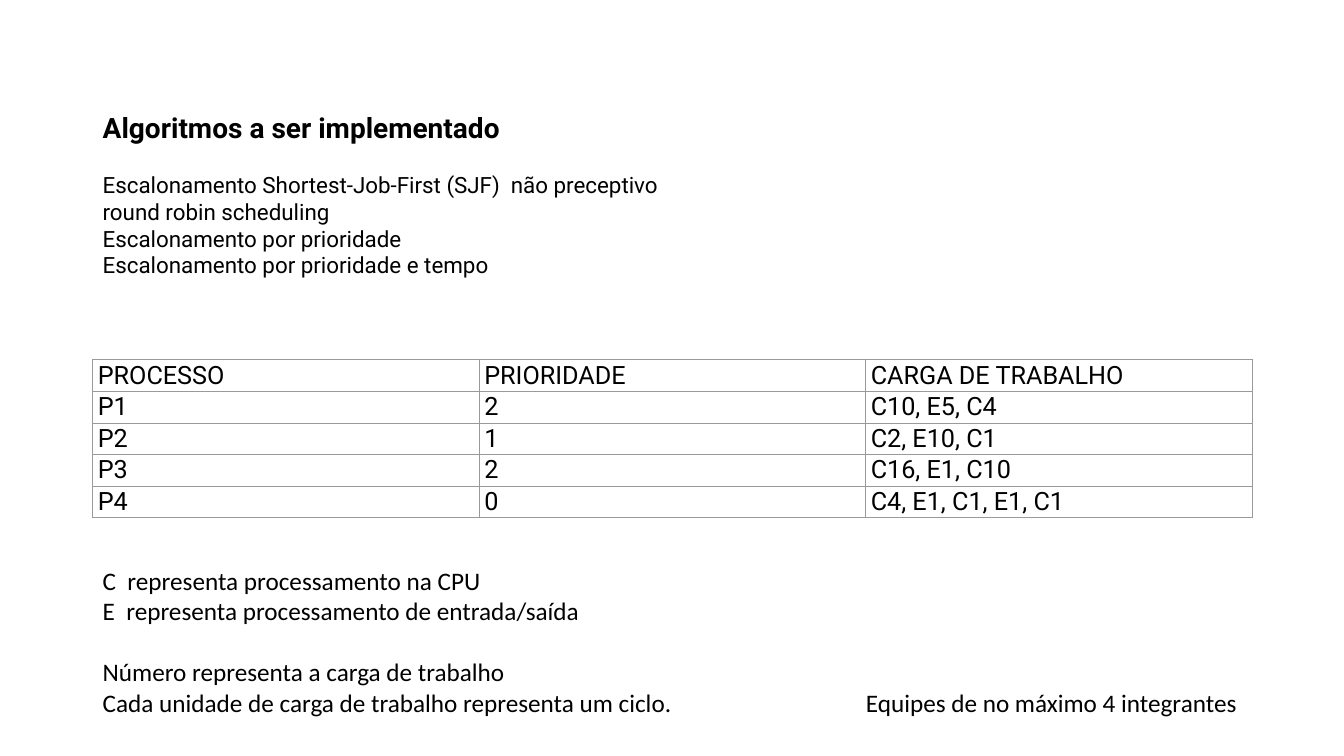
"""Build the slide on scheduling algorithms with its process table."""
import pptx
import pptx.dml.color
import pptx.enum.text
import pptx.oxml
import pptx.oxml.ns
import pptx.util
from dataclasses import dataclass


@dataclass(frozen=True)
class Theme:
    ink: str = "000000"
    rule: str = "9A9A9A"
    rule_width: float = 0.75
    heading_font: str = "Roboto"
    note_font: str = "Calibri"
    title_size: int = 20
    list_size: int = 16
    body_size: int = 18


theme = Theme()
inches = pptx.util.Inches
margin = 0.92
column = 11.5 / 3
row_height = 0.31


def style(para, font, size, bold=False):
    for span in para.runs:
        span.font.name = font
        span.font.size = pptx.util.Pt(size)
        span.font.bold = bold
        span.font.color.rgb = pptx.dml.color.RGBColor.from_string(theme.ink)


def add_text(page, place, lines, font, size, wrap=True):
    box = page.shapes.add_textbox(*map(inches, place))
    box.text_frame.word_wrap = wrap
    box.text_frame.auto_size = pptx.enum.text.MSO_AUTO_SIZE.SHAPE_TO_FIT_TEXT
    box.text_frame.text = "\n".join(lines)
    for para in box.text_frame.paragraphs:
        style(para, font, size)
    return box.text_frame.paragraphs


deck = pptx.Presentation()
deck.slide_width = inches(13.33)
deck.slide_height = inches(7.5)
page = deck.slides.add_slide(deck.slide_layouts[6])

processes = [
    ("PROCESSO", "PRIORIDADE", "CARGA DE TRABALHO"),
    ("P1", "2", "C10, E5, C4"),
    ("P2", "1", "C2, E10, C1"),
    ("P3", "2", "C16, E1, C10"),
    ("P4", "0", "C4, E1, C1, E1, C1"),
]
table = page.shapes.add_table(
    len(processes), 3, inches(margin), inches(3.57),
    inches(3 * column), inches(len(processes) * row_height)).table
table.first_row = False
table.horz_banding = False
for table_row, values in zip(table.rows, processes):
    table_row.height = inches(row_height)
    for cell, value in zip(table_row.cells, values):
        cell.text = value
        cell.margin_left = cell.margin_right = inches(0.05)
        cell.margin_top = cell.margin_bottom = inches(0.01)
        style(cell.text_frame.paragraphs[0], theme.heading_font, theme.body_size)
        properties = cell._tc.get_or_add_tcPr()
        for side in ("lnL", "lnR", "lnT", "lnB"):
            properties.append(pptx.oxml.parse_xml(
                f'<a:{side} {pptx.oxml.ns.nsdecls("a")} w="{pptx.util.Pt(theme.rule_width)}">'
                f'<a:solidFill><a:srgbClr val="{theme.rule}"/></a:solidFill></a:{side}>'))
        cell.fill.background()

algorithms = add_text(page, (margin, 1.05, 3 * column, 1.78), [
    "Algoritmos a ser implementado",
    "Escalonamento Shortest-Job-First (SJF)\u00a0 não preceptivo",
    "round robin scheduling",
    "Escalonamento por prioridade",
    "Escalonamento por prioridade e tempo",
], theme.heading_font, theme.list_size)
style(algorithms[0], theme.heading_font, theme.title_size, bold=True)
algorithms[1].space_before = pptx.util.Pt(19)

legend = add_text(page, (margin, 5.56, 5.92, 1.62), [
    "C  representa processamento na CPU",
    "E  representa processamento de entrada/saída",
    "Número representa a carga de trabalho",
    "Cada unidade de carga de trabalho representa um ciclo.",
], theme.note_font, theme.body_size, wrap=False)
legend[2].space_before = pptx.util.Pt(22)

add_text(page, (8.49, 6.77, 3.92, 0.4), ["Equipes de no máximo 4 integrantes"],
         theme.note_font, theme.body_size, wrap=False)

deck.save("out.pptx")
